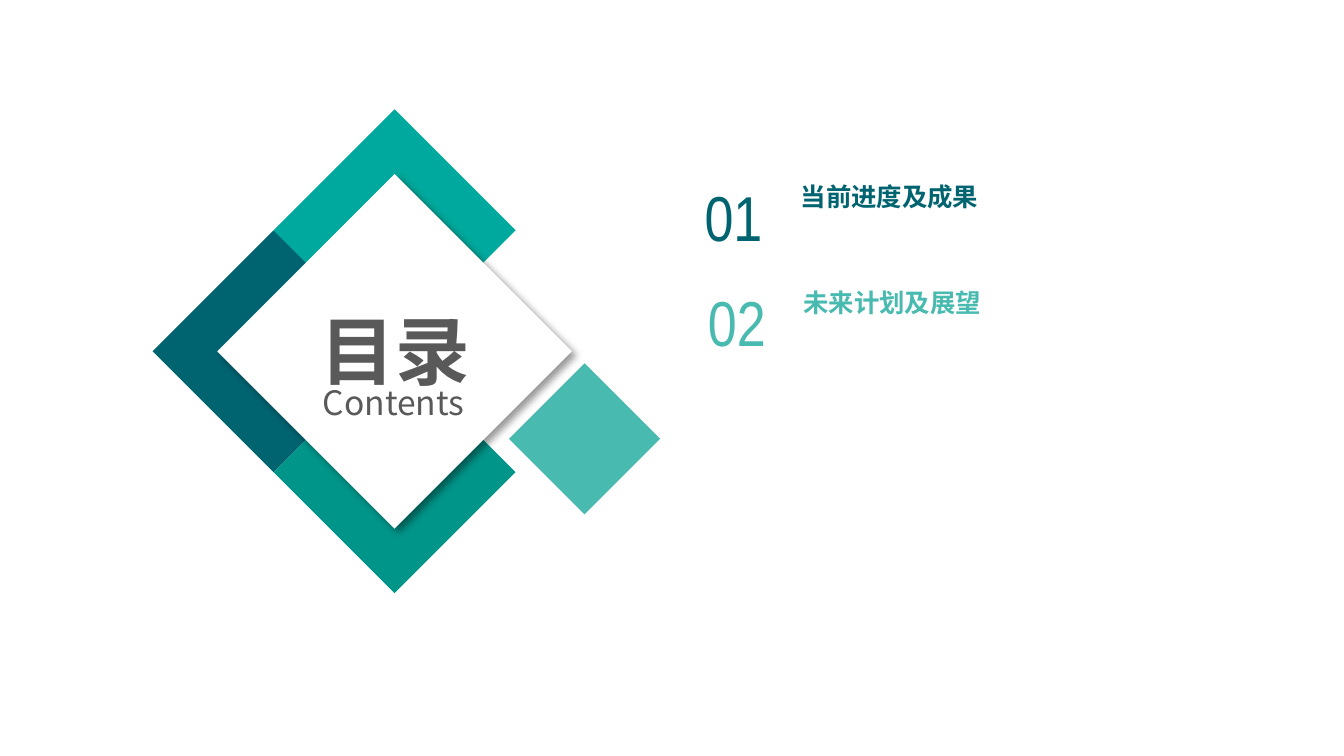
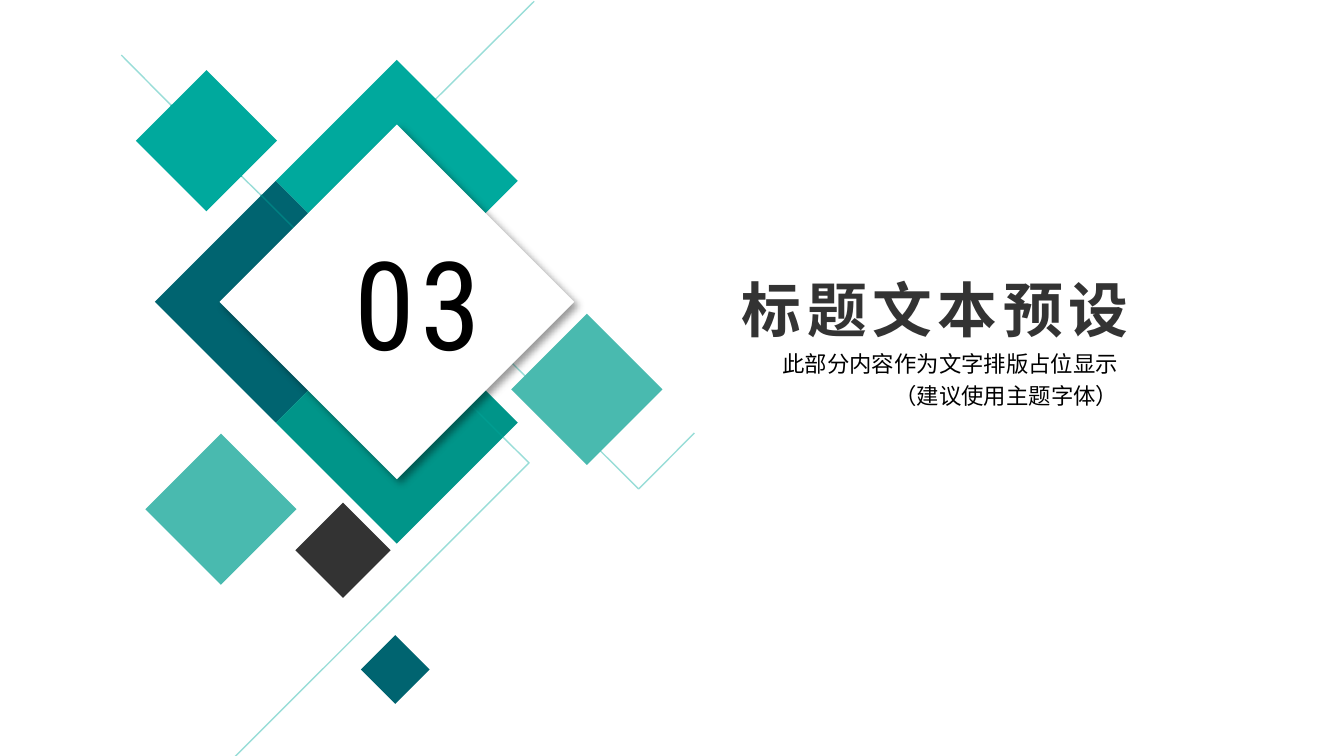
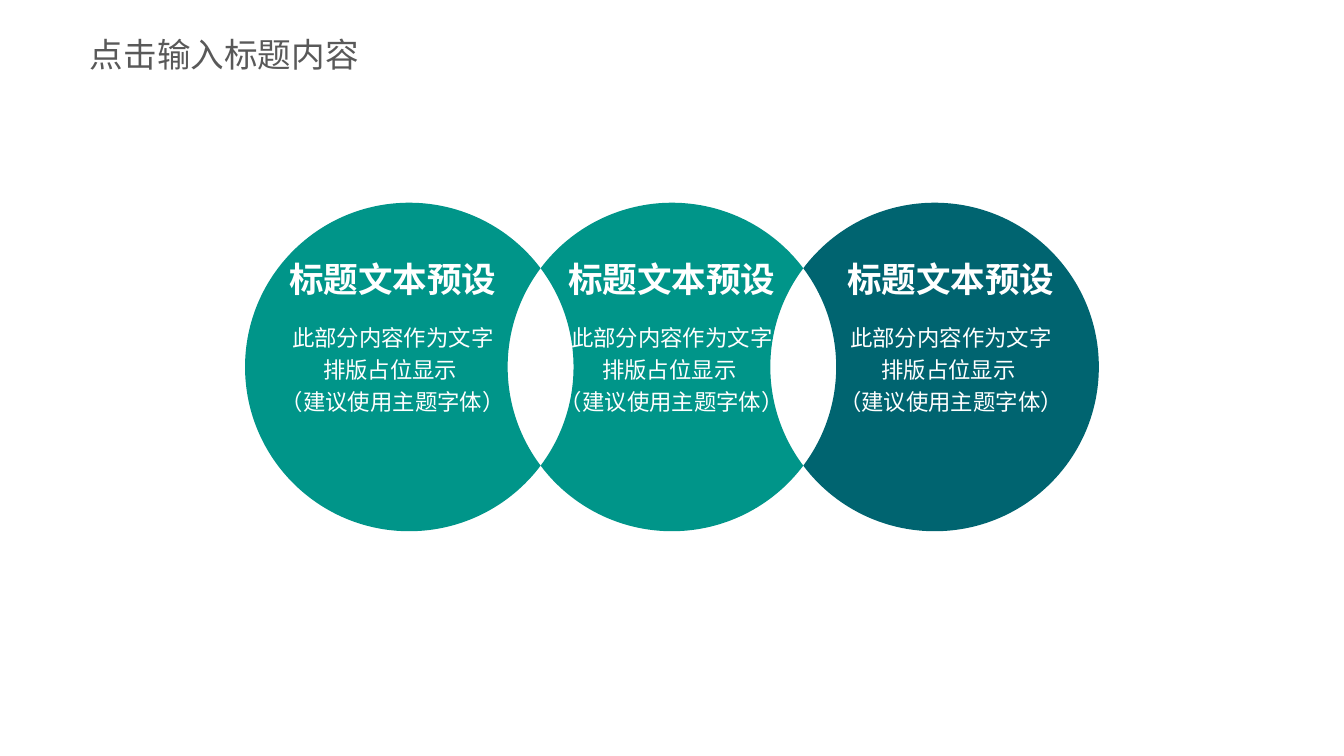
import math
from pptx import Presentation
from pptx import util as u
from pptx.dml.color import RGBColor
from pptx.enum import shapes, text as t
from pptx.oxml import parse_xml
from pptx.oxml.ns import nsdecls, qn

Pt = u.Pt
DARK = RGBColor(0x00, 0x64, 0x70)
TEAL = RGBColor(0x00, 0xA9, 0x9D)
GREEN = RGBColor(0x00, 0x95, 0x89)
MINT = RGBColor(0x49, 0xBA, 0xAF)
PALE = RGBColor(0x99, 0xDD, 0xD8)
DEEP = RGBColor(0x00, 0x80, 0x82)
SEA = RGBColor(0x00, 0x9D, 0x91)
COAL = RGBColor(0x33, 0x33, 0x33)
GREY = RGBColor(0x59, 0x59, 0x59)
BLACK = RGBColor(0, 0, 0)
WHITE = RGBColor(0xFF, 0xFF, 0xFF)

SANS = "Noto Sans CJK SC"
LEFT, MID, RIGHT = t.PP_ALIGN.LEFT, t.PP_ALIGN.CENTER, t.PP_ALIGN.RIGHT
TOP, CENTER, BASE = t.MSO_ANCHOR.TOP, t.MSO_ANCHOR.MIDDLE, t.MSO_ANCHOR.BOTTOM
HALF = 64.8


def text(page, words, box=None, shape=None, head=False, size=12, font=SANS,
         color=BLACK, bold=False, align=LEFT, anchor=TOP, wrap=True,
         inset=(7.2, 3.6, 7.2, 3.6), lines=1, track=0):
    if head:
        shape = page.shapes.title
        shape.left, shape.top, shape.width, shape.height = map(Pt, box)
        shape.element.getparent().append(shape.element)
    elif shape is None:
        shape = page.shapes.add_textbox(*map(Pt, box))
    frame = shape.text_frame
    frame.auto_size = t.MSO_AUTO_SIZE.NONE
    frame.word_wrap = wrap
    frame.vertical_anchor = anchor
    (frame.margin_left, frame.margin_top,
     frame.margin_right, frame.margin_bottom) = map(Pt, inset)
    para = frame.paragraphs[0]
    para.text = words
    para.alignment = align
    para.line_spacing = lines
    for run in para.runs:
        face = run.font
        face.size, face.name, face.bold = Pt(size), font, bold
        face.color.rgb = color
        props = run.font._element
        props.get_or_add_latin().addnext(
            parse_xml(f'<a:ea {nsdecls("a")} typeface="{font}"/>'))
        if track:
            props.set("spc", str(track * 100))
    return shape


def paint(shape, color):
    shape.shadow.inherit = False
    shape.fill.solid()
    shape.fill.fore_color.rgb = color
    shape.line.fill.background()


def gem(page, x, y, half, color):
    shape = page.shapes.add_shape(
        shapes.MSO_SHAPE.DIAMOND, Pt(x - half), Pt(y - half),
        Pt(2 * half), Pt(2 * half))
    paint(shape, color)
    return shape


def shade(shape):
    fx = shape.element.spPr.find(qn("a:effectLst"))
    fx.append(parse_xml(
        f'<a:outerShdw {nsdecls("a")} blurRad="50800" dist="38100" '
        'dir="2700000" algn="tl" rotWithShape="0"><a:srgbClr val="000000">'
        '<a:alpha val="40000"/></a:srgbClr></a:outerShdw>'))


def draw(page, parts, close):
    pen = None
    for part in parts:
        spots = [(Pt(x), Pt(y)) for x, y in part]
        if pen is None:
            pen = page.shapes.build_freeform(*spots[0], scale=1.0)
        else:
            pen.move_to(*spots[0])
        pen.add_line_segments(spots[1:], close=close)
    return pen.convert_to_shape()


def trace(page, color, *parts):
    shape = draw(page, parts, False)
    shape.shadow.inherit = False
    shape.fill.background()
    shape.line.color.rgb = color
    shape.line.width = Pt(0.75)


def band(page, x, y):
    gem(page, x - HALF, y, HALF, DARK)
    gem(page, x, y - HALF, HALF, TEAL)
    gem(page, x, y + HALF, HALF, GREEN)


def card(page, x, y):
    shade(gem(page, x, y, 95, WHITE))
    gem(page, x + 101.8, y + 46.9, 40.5, MINT)


def arc(x, y, r, *turns):
    spots = []
    for start, end in zip(turns, turns[1:]):
        a, b = math.radians(start), math.radians(end)
        k = 4 / 3 * math.tan((b - a) / 4)
        ca, sa, cb, sb = math.cos(a), math.sin(a), math.cos(b), math.sin(b)
        spots += [(x + r * (ca - k * sa), y + r * (sa + k * ca)),
                  (x + r * (cb + k * sb), y + r * (sb - k * cb)),
                  (x + r * cb, y + r * sb)]
    return spots


def bend(shape):
    steps = list(shape.element.iter(qn("a:lnTo")))
    for i in range(0, len(steps), 3):
        curve = parse_xml(f'<a:cubicBezTo {nsdecls("a")}/>')
        steps[i].addprevious(curve)
        for step in steps[i:i + 3]:
            curve.append(step[0])
            step.getparent().remove(step)


def disc(page, x, y, r, gap, color, left, right):
    cut = math.degrees(math.acos(gap / 2 / r))
    edge = [(x, y - r)]
    if right:
        edge += arc(x, y, r, -90, -cut)
        edge += arc(x + gap, y, r, 180 + cut, 180, 180 - cut)
        edge += arc(x, y, r, cut, 90)
    else:
        edge += arc(x, y, r, -90, 0, 90)
    if left:
        edge += arc(x, y, r, 90, 180 - cut)
        edge += arc(x - gap, y, r, cut, 0, -cut)
        edge += arc(x, y, r, 180 + cut, 270)
    else:
        edge += arc(x, y, r, 90, 180, 270)
    shape = draw(page, [edge], True)
    bend(shape)
    paint(shape, color)
    return shape


def agenda(page):
    x, y = 211.4, 188.2
    band(page, x, y)
    card(page, x, y)
    items = [("01", "当前进度及成果", DARK, 39, 401),
             ("02", "未来计划及展望", MINT, 42.5, 402.5)]
    for i, (mark, name, color, wide, start) in enumerate(items):
        text(page, mark, (373.5, 95 + 56.2 * i, wide, 42), size=34,
             font="Arial Narrow", color=color, align=MID, anchor=CENTER,
             wrap=False)
        text(page, name, (start, 99 + 56.6 * i, 234, 14.4), size=13.6,
             color=color, bold=True, anchor=BASE, wrap=False,
             inset=(28, 0, 0, 0))
    text(page, "Contents", (157.7, 195.8, 106.5, 30.2), size=18, color=GREY,
         align=MID, anchor=BASE, inset=(0, 0, 0, 0))
    text(page, "目录", (158.4, 159.8, 106.5, 54.7), head=True, size=40,
         color=GREY, bold=True, align=MID)


def chapter(page):
    x, y = 212.6, 161.7
    text(page, "此部分内容作为文字排版占位显示\n （建议使用主题字体）",
         (409.7, 181.2, 196.6, 41), align=RIGHT, wrap=False, lines=1.2)
    text(page, "标题文本预设 ", (390.2, 142.6, 365.8, 46), head=True, size=32,
         color=COAL, bold=True, track=3)
    band(page, x, y)
    gem(page, 110.6, 75.4, 37.8, TEAL)
    gem(page, 183.8, 294.8, 25.5, COAL)
    a, b, c = (91.5, 56.25), (129.5, 94.5), (139.75, 104.5)
    d, e = (204.5, 169.25), (269.5, 234.25)
    f, g = (233.5, 53), (227, 147.5)
    trace(page, PALE, [g, (342.2, 262), (372, 232)], [(286.2, 0.7), f])
    trace(page, TEAL, [f, (183.5, 103.5), g])
    trace(page, PALE, [e, (283.5, 248), (125.3, 406)], [b, c], [(65, 29.5), a])
    trace(page, DEEP, [c, d])
    trace(page, TEAL, [a, b])
    trace(page, SEA, [d, e])
    card(page, x, y)
    gem(page, 118.4, 272.8, 40.5, MINT)
    gem(page, 211.8, 358.7, 18.4, DARK)
    text(page, "03", (182.6, 118, 85, 87), size=66, font="Roboto Condensed",
         track=3)


def rings(page):
    gap, r = 140.7, 88
    colors = [GREEN, GREEN, DARK]
    for i, color in enumerate(colors):
        shape = disc(page, 360 + gap * (i - 1), 196.6, r, gap, color,
                     i > 0, i < len(colors) - 1)
        text(page, "此部分内容作为文字\n排版占位显示 \n（建议使用主题字体）",
             shape=shape, color=WHITE, align=MID, anchor=CENTER, lines=1.2)
    for i in range(len(colors)):
        text(page, "标题文本预设", (312.8 + 149.5 * (i - 1), 139.7, 94.3, 19.4),
             size=18.5, color=WHITE, bold=True, align=MID, anchor=CENTER,
             wrap=False, inset=(0, 0, 0, 0))
    text(page, "点击输入标题内容", (48.2, 13.7, 167.8, 30.2), head=True,
         size=18, color=GREY, anchor=CENTER, inset=(0, 3.6, 0, 3.6))


def main():
    deck = Presentation()
    deck.slide_width, deck.slide_height = Pt(720), Pt(405)
    for build in (agenda, chapter, rings):
        build(deck.slides.add_slide(deck.slide_layouts[5]))
    deck.save("out.pptx")


main()
